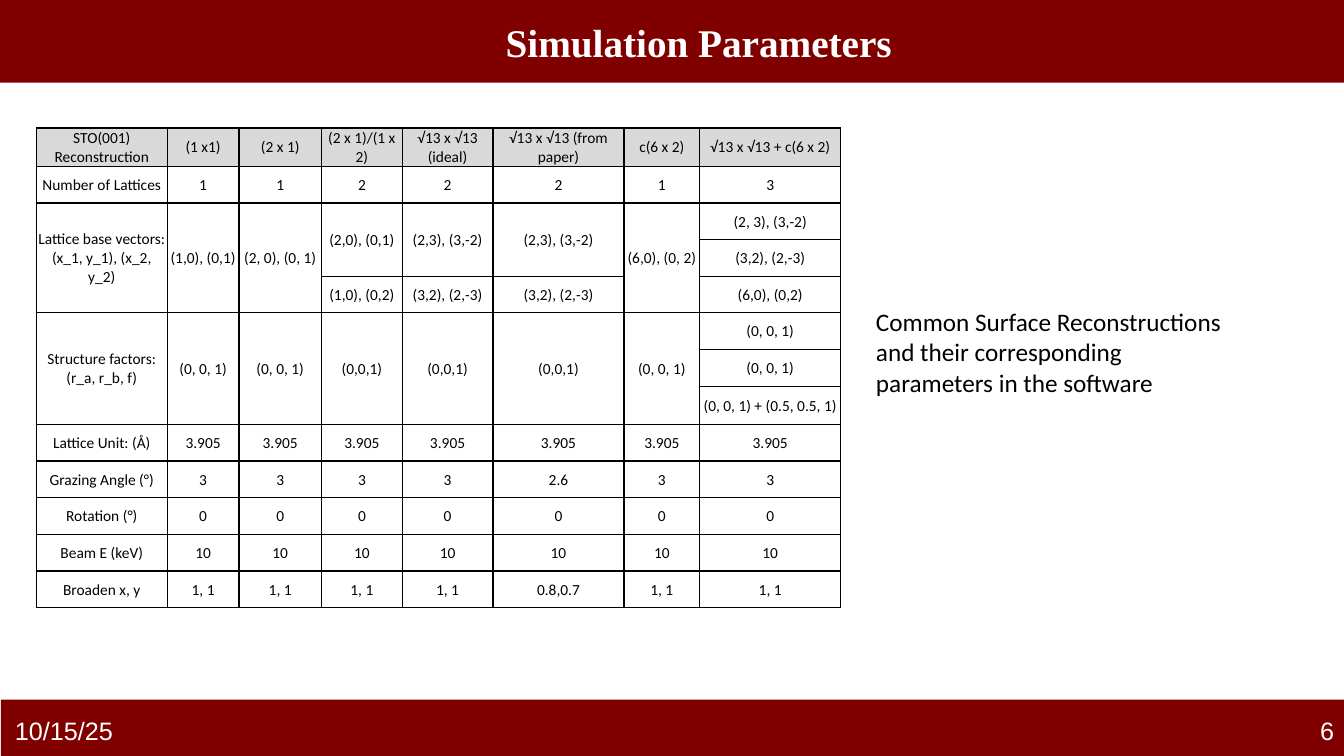
import pptx
import pptx.util
import pptx.dml.color
import pptx.enum.shapes
import pptx.enum.text
import pptx.oxml
import lxml.etree
from dataclasses import dataclass

Inches = pptx.util.Inches
RGB = pptx.dml.color.RGBColor.from_string
ALIGN = pptx.enum.text.PP_ALIGN
ANCHOR = pptx.enum.text.MSO_ANCHOR
AUTO = pptx.enum.text.MSO_AUTO_SIZE
A = "http://schemas.openxmlformats.org/drawingml/2006/main"


@dataclass
class Theme:
    band: str = "800000"
    light: str = "FFFFFF"
    dark: str = "000000"
    header: str = "D9D9D9"
    title: int = 28
    body: int = 18
    cell: int = 11


theme = Theme()


def write(tf, text, size=theme.body, font="Calibri", color=theme.dark,
          bold=False, align=ALIGN.LEFT, anchor=ANCHOR.TOP, grow=False):
    tf.word_wrap = True
    tf.vertical_anchor = anchor
    if grow:
        tf.auto_size = AUTO.SHAPE_TO_FIT_TEXT
    p = tf.paragraphs[0]
    p.alignment = align
    r = p.add_run()
    r.text = text
    r.font.size = pptx.util.Pt(size)
    r.font.name = font
    r.font.bold = bold
    r.font.color.rgb = RGB(color)


def add_borders(cell, color, width):
    tcPr = cell._tc.get_or_add_tcPr()
    for side in ("L", "R", "T", "B"):
        tcPr.append(pptx.oxml.parse_xml(
            f'<a:ln{side} xmlns:a="{A}" w="{int(pptx.util.Pt(width))}">'
            f'<a:solidFill><a:srgbClr val="{color}"/></a:solidFill></a:ln{side}>'))


prs = pptx.Presentation()
prs.slide_width = Inches(13.33)
prs.slide_height = Inches(7.5)
s = prs.slides.add_slide(prs.slide_layouts[5])

for left, top, height in ((0, 0, 0.82), (0.01, 6.94, 0.58)):
    sp = s.shapes.add_shape(pptx.enum.shapes.MSO_SHAPE.RECTANGLE, Inches(left),
                            Inches(top), Inches(13.33), Inches(height))
    sp.shadow.inherit = False
    sp.fill.solid()
    sp.fill.fore_color.rgb = RGB(theme.band)
    sp.line.fill.background()

title = s.shapes.title
sp.element.addnext(title.element)
title.left, title.top = Inches(1.14), Inches(0.13)
title.width, title.height = Inches(11.58), Inches(0.57)
write(title.text_frame, "Simulation Parameters", size=theme.title, font="Times New Roman",
      color=theme.light, bold=True, align=ALIGN.CENTER, grow=True)

for left, text, align in ((0.05, "10/15/25", ALIGN.LEFT), (10.33, "6", ALIGN.RIGHT)):
    tb = s.shapes.add_textbox(Inches(left), Inches(7.05), Inches(3), Inches(0.4))
    write(tb.text_frame, text, font="Arial", color=theme.light,
          align=align, anchor=ANCHOR.MIDDLE)

rows = [
    ["STO(001) Reconstruction", "(1 x1)", "(2 x 1)", "(2 x 1)/(1 x 2)", "√13 x √13 (ideal)",
     "√13 x √13 (from paper)", "c(6 x 2)", "√13 x √13 + c(6 x 2)"],
    ["Number of Lattices", "1", "1", "2", "2", "2", "1", "3"],
    ["Lattice base vectors: (x_1, y_1), (x_2, y_2)", "(1,0), (0,1)", "(2, 0), (0, 1)",
     "(2,0), (0,1)", "(2,3), (3,-2)", "(2,3), (3,-2)", "(6,0), (0, 2)", "(2, 3), (3,-2)"],
    [None] * 7 + ["(3,2), (2,-3)"],
    [None, None, None, "(1,0), (0,2)", "(3,2), (2,-3)", "(3,2), (2,-3)", None, "(6,0), (0,2)"],
    ["Structure factors: (r_a, r_b, f)", "(0, 0, 1)", "(0, 0, 1)", "(0,0,1)", "(0,0,1)",
     "(0,0,1)", "(0, 0, 1)", "(0, 0, 1)"],
    [None] * 7 + ["(0, 0, 1)"],
    [None] * 7 + ["(0, 0, 1) + (0.5, 0.5, 1)"],
    ["Lattice Unit: (Å)"] + ["3.905"] * 7,
    ["Grazing Angle (°)", "3", "3", "3", "3", "2.6", "3", "3"],
    ["Rotation (°)"] + ["0"] * 7,
    ["Beam E (keV)"] + ["10"] * 7,
    ["Broaden x, y", "1, 1", "1, 1", "1, 1", "1, 1", "0.8,0.7", "1, 1", "1, 1"],
]
widths = [1.3, 0.71, 0.82, 0.8, 0.9, 1.3, 0.75, 1.4]
tall_rows = {0: 0.38, 7: 0.38}
row_height = (4.76 - sum(tall_rows.values())) / (len(rows) - len(tall_rows))

table = s.shapes.add_table(len(rows), len(widths), Inches(0.36), Inches(1.27),
                           Inches(7.98), Inches(4.76)).table
table.first_row = False
table.horz_banding = False
for column, width in zip(table.columns, widths):
    column.width = Inches(width)

for i, row in enumerate(rows):
    table.rows[i].height = Inches(tall_rows.get(i, row_height))
    for j, text in enumerate(row):
        cell = table.cell(i, j)
        add_borders(cell, theme.dark, 1)
        if i == 0:
            cell.fill.solid()
            cell.fill.fore_color.rgb = RGB(theme.header)
        else:
            cell.fill.background()
        cell.margin_left = cell.margin_right = cell.margin_top = Inches(0.01)
        cell.margin_bottom = 0
        if text is None:
            continue
        cell.vertical_anchor = ANCHOR.MIDDLE
        write(cell.text_frame, text, size=theme.cell, align=ALIGN.CENTER, anchor=None)
        last = i
        while last + 1 < len(rows) and rows[last + 1][j] is None:
            last += 1
        if last > i:
            cell.merge(table.cell(last, j))

tb = s.shapes.add_textbox(Inches(8.59), Inches(2.99), Inches(3.83), Inches(1.01))
write(tb.text_frame, "Common Surface Reconstructions and their corresponding "
      "parameters in the software", grow=True)

prs.save("out.pptx")
